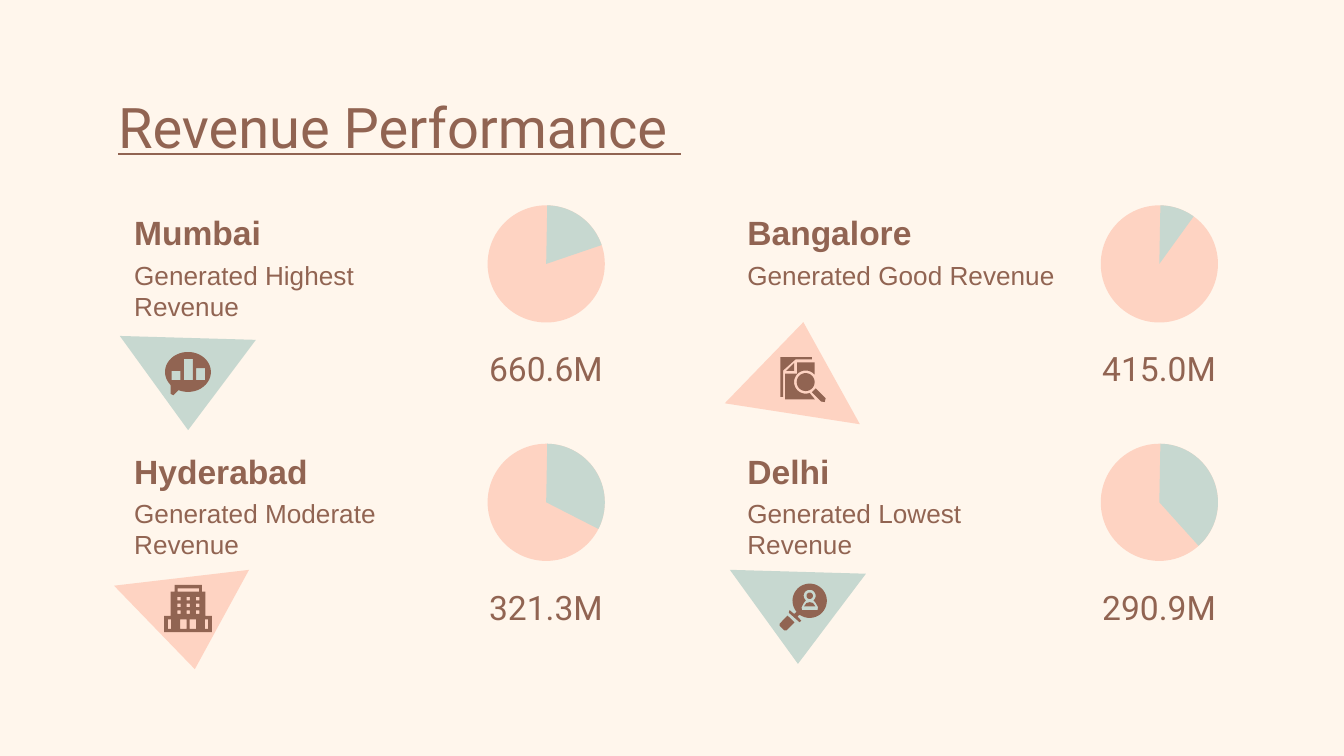
from math import cos, radians, sin

from pptx import Presentation
from pptx.dml.color import RGBColor
from pptx.enum.shapes import MSO_SHAPE
from pptx.enum.text import MSO_ANCHOR, PP_ALIGN
from pptx.util import Pt

CREAM = RGBColor(0xFF, 0xF6, 0xEC)
BROWN = RGBColor(0x91, 0x64, 0x52)
PINK = RGBColor(0xFE, 0xD3, 0xC2)
SAGE = RGBColor(0xC7, 0xD8, 0xD0)

COL, ROW = 328.5, 127.7  # steps of the city grid


def box(x, y, w, h):
    return [(x, y), (x + w, y), (x + w, y + h), (x, y + h)]


def arc(x, y, rx, ry, start=0, end=360, steps=40):
    turns = [radians(start + (end - start) * i / steps) for i in range(steps + 1)]
    return [(x + rx * cos(t), y + ry * sin(t)) for t in turns]


def shift(loop, dx, dy):
    return [(x + dx, y + dy) for x, y in loop]


class Board:
    """Holds the style and the current slide."""

    head, body, ink = "Roboto", "Arial", BROWN

    def __init__(self, slide):
        self.slide = slide
        self.shapes = slide.shapes
        fill = slide.background.fill
        fill.solid()
        fill.fore_color.rgb = CREAM

    def paint(self, shape, color):
        shape.shadow.inherit = False
        shape.fill.solid()
        shape.fill.fore_color.rgb = color
        shape.line.fill.background()

    def text(self, words, x, y, w, h, size, face, mid=True, bold=False,
             under=False, align=PP_ALIGN.LEFT):
        frame = self.shapes.add_textbox(Pt(x), Pt(y), Pt(w), Pt(h)).text_frame
        frame.word_wrap = True
        frame.margin_left = frame.margin_right = Pt(7.2)
        frame.margin_top = frame.margin_bottom = Pt(7.2)
        frame.vertical_anchor = MSO_ANCHOR.MIDDLE if mid else MSO_ANCHOR.TOP
        para = frame.paragraphs[0]
        para.text = words
        para.alignment = align
        font = para.font
        font.name, font.size, font.bold = face, Pt(size), bold
        font.underline = under
        font.color.rgb = self.ink

    def pie(self, x, y, size, end):
        area = Pt(x), Pt(y), Pt(size), Pt(size)
        self.paint(self.shapes.add_shape(MSO_SHAPE.OVAL, *area), PINK)
        slice_ = self.shapes.add_shape(MSO_SHAPE.PIE, *area)
        # Angles are kept in 60000ths of a degree, adjustments in 100000ths
        slice_.adjustments[0] = 271.02 * 0.6
        slice_.adjustments[1] = end * 0.6
        self.paint(slice_, SAGE)

    def free(self, color, *loops):
        pen = None
        for loop in loops:
            first, *rest = [(Pt(x), Pt(y)) for x, y in loop]
            if pen is None:
                pen = self.shapes.build_freeform(*first)
            else:
                pen.move_to(*first)
            pen.add_line_segments(rest, close=True)
        self.paint(pen.convert_to_shape(), color)

    def city(self, col, row, name, note, sum_, end):
        dx, dy = col * COL, row * ROW
        self.text(name, 64.8 + dx, 113.8 + dy, 184.3, 21.6, 18, self.body, bold=True)
        self.text(note, 64.8 + dx, 131.6 + dy, 184.3, 45.4, 14, self.body, mid=False)
        self.text(sum_, 250.7 + dx, 179.4 + dy, 83.5, 36, 18, self.head,
                  align=PP_ALIGN.CENTER)
        self.pie(261.2 + dx, 110 + dy, 62.8, end)


def chat(board):
    bubble = arc(100.7, 199.3, 12.3, 10.7, 140, 475)
    tail = [(95.8, 208.8), (92.9, 211.8), (91.4, 211), (91.4, 206.6)]
    bars = [box(x, 203.7 - h, 4.8, h) for x, h in ((91.9, 5), (98.5, 11.4), (105.1, 6.5))]
    board.free(BROWN, bubble + tail, *bars)


def house(board):
    wall = [(5.6, 0), (20.2, 0), (20.2, 3.6), (22, 3.6), (22, 16.6), (25.5, 16.6),
            (25.5, 25.3), (0, 25.3), (0, 16.6), (3.5, 16.6), (3.5, 3.6), (5.6, 3.6)]
    panes = [box(7 + 5 * i, 6.5 + 3.6 * j, 1.8, 1.8) for j in range(3) for i in range(3)]
    doors = [box(x, 18.5, w, 5.1) for x, w in ((2, 1.7), (8.5, 3.5), (13.6, 3.5), (21.8, 1.8))]
    parts = [wall, box(7.2, 1.9, 11.5, 1.7)] + panes + doors
    board.free(BROWN, *[shift(part, 88, 313.3) for part in parts])


def report(board):
    # Back sheet, folded corner, front sheet, lens, handle
    board.free(BROWN, [(418.1, 191.3), (434.9, 191.3), (434.9, 192.5), (426.2, 192.5),
                       (419.6, 198.4), (419.6, 212.6), (418.1, 212.6)])
    board.free(BROWN, [(425.5, 194.4), (421.2, 198.7), (425.5, 198.7)])
    board.free(BROWN, [(427, 194.2), (436.4, 194.2)]
               + arc(431.6, 204.7, 6.2, 6.2, 320, 70)
               + [(436.5, 213.9), (420.6, 213.9), (420.6, 200.2), (427, 200.2)])
    board.free(BROWN, arc(431.6, 204.7, 4.8, 4.8))
    board.free(BROWN, [(437, 208.1), (442.3, 213.4), (441.9, 215.4), (440, 215.2),
                       (434.9, 210.2)])


def search(board):
    # Lens with a figure cut out, then head, chest and grip
    lens = arc(433.8, 321.9, 9.2, 9.2, 138, 492)
    neck = [(428.4, 329.5), (427.2, 330.2), (429.3, 332.6), (428.4, 333.4),
            (422.6, 328.3), (423, 326.9), (425.5, 329), (427, 327.6)]
    chest = [(437, 323), (438.3, 325.4), (438, 326.9), (429.7, 326.9),
             (429.4, 325.4), (430.7, 323)]
    board.free(BROWN, lens + neck, arc(433.8, 319.2, 3.2, 3.2, 130, 410) + chest)
    board.free(BROWN, arc(433.8, 319.2, 1.7, 1.7))
    board.free(BROWN, [(430.8, 324.8), (432, 323.1), (433.8, 322.6), (435.6, 323.1),
                       (436.8, 324.8)])
    board.free(BROWN, [(421.9, 329.8), (417.7, 334.1), (417.7, 335.3), (420.2, 337.8),
                       (421.3, 337.8), (425.6, 333.5)])


def main():
    deck = Presentation()
    deck.slide_width, deck.slide_height = Pt(720), Pt(405)
    board = Board(deck.slides.add_slide(deck.slide_layouts[6]))

    # Triangles behind the icons
    board.free(SAGE, [(463.9, 307.4), (427.5, 355.7), (391, 305.3)])
    board.free(PINK, [(133.4, 305.3), (104.4, 358.5), (61.1, 313.8)])
    board.free(PINK, [(388.3, 216.1), (430.4, 172.6), (460.7, 227.3)])
    board.free(SAGE, [(137.1, 182.1), (100.8, 230.5), (64.2, 180)])

    # Title
    board.text("Revenue Performance ", 56.2, 42.5, 607.7, 45.4, 30, board.head,
               mid=False, under=True)

    # Cities
    board.city(0, 0, "Mumbai", "Generated Highest Revenue", "660.6M", 341.17)
    board.city(0, 1, "Hyderabad", "Generated Moderate Revenue", "321.3M", 27.04)
    board.city(1, 0, "Bangalore", "Generated Good Revenue", "415.0M", 305.83)
    board.city(1, 1, "Delhi", "Generated Lowest Revenue", "290.9M", 47.95)

    # Icons
    for icon in (house, search, report, chat):
        icon(board)

    deck.save("out.pptx")


if __name__ == "__main__":
    main()
